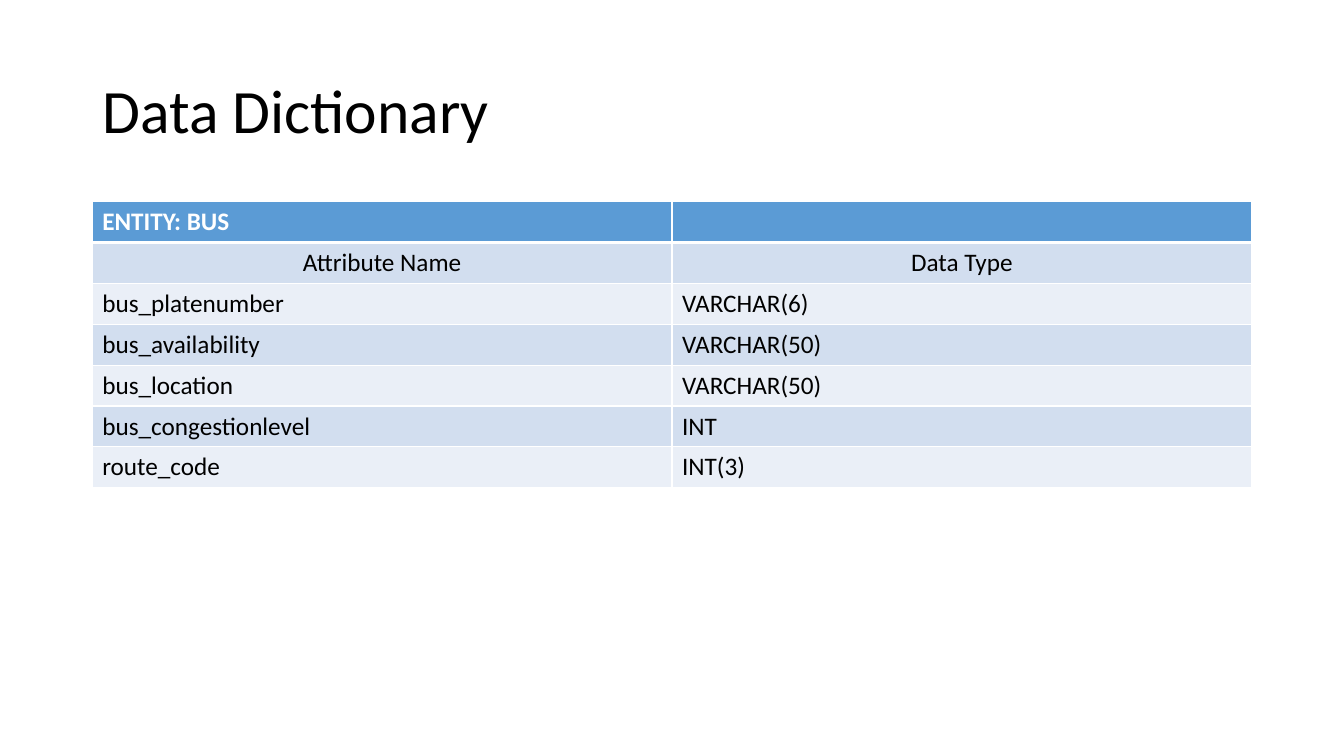
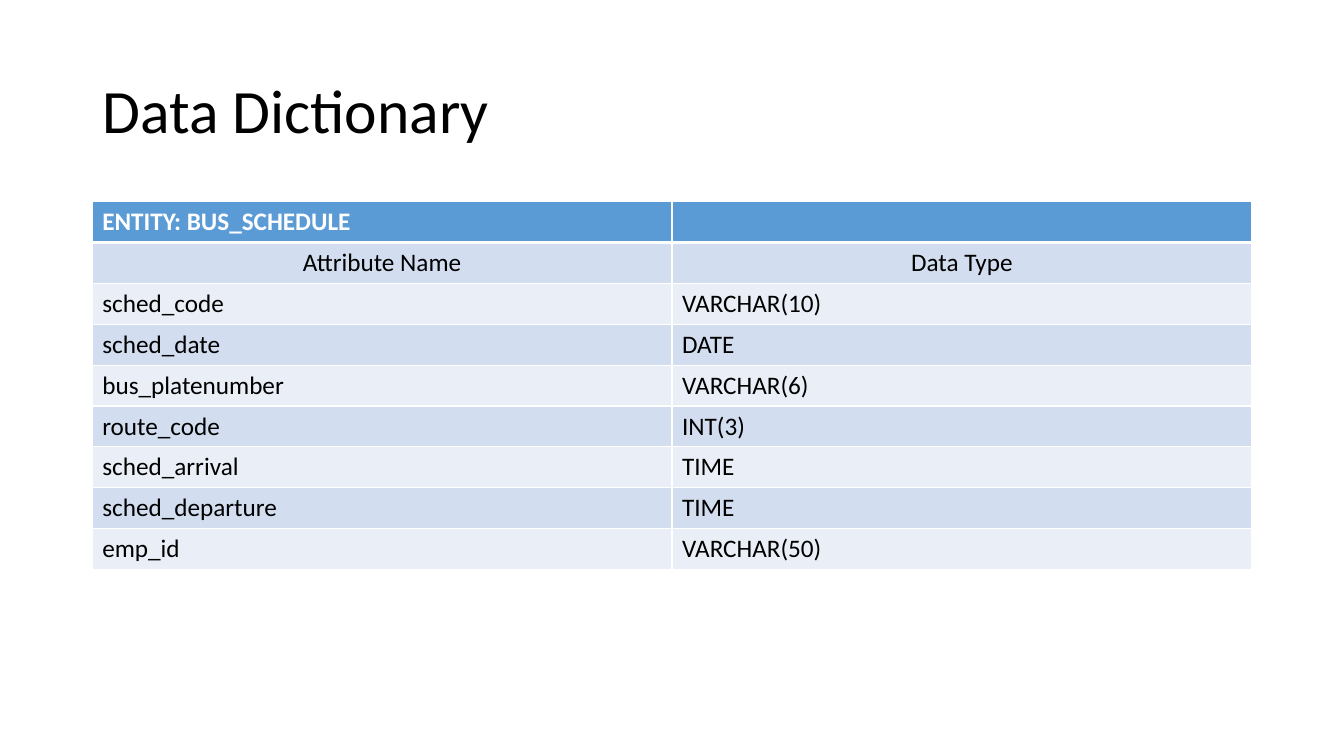
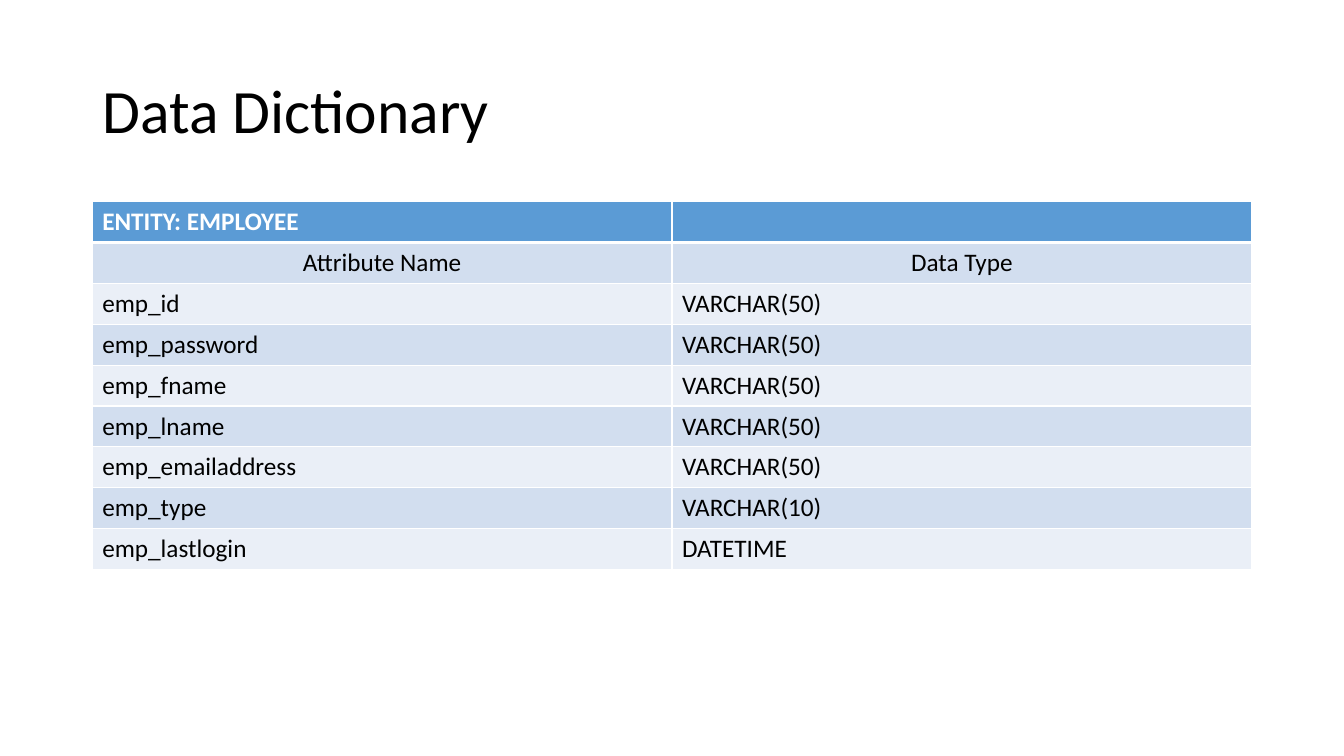
from dataclasses import dataclass

from lxml.etree import SubElement
from pptx import Presentation
from pptx.dml.color import RGBColor as RGB
from pptx.enum.text import MSO_ANCHOR as Anchor, MSO_AUTO_SIZE as AutoSize, PP_ALIGN as Align
from pptx.oxml.ns import qn
from pptx.presentation import Presentation as Deck
from pptx.slide import Slide
from pptx.table import _Cell as Cell
from pptx.util import Inches, Pt


@dataclass(frozen=True)
class Theme:
    font: str = "Calibri"
    title_size: int = 44
    body_size: int = 18
    text: str = "000000"
    light: str = "FFFFFF"
    header: str = "5B9BD5"
    bands: tuple[str, str] = ("D2DEEF", "EAEFF7")
    rule: float = 1
    header_rule: float = 3


@dataclass(frozen=True)
class Entity:
    name: str
    attributes: tuple[tuple[str, str], ...]


THEME = Theme()
SLIDE_W, SLIDE_H = Inches(13.33), Inches(7.5)
CONTENT_W = Inches(11.5)
MARGIN = (SLIDE_W - CONTENT_W) // 2
TITLE_TOP, TITLE_H = Inches(0.4), Inches(1.45)
TABLE_TOP, ROW_H = Inches(2), Pt(29.2)
TITLE = "Data Dictionary"
COLUMNS = ("Attribute Name", "Data Type")

ENTITIES = (
    Entity("BUS", (
        ("bus_platenumber", "VARCHAR(6)"),
        ("bus_availability", "VARCHAR(50)"),
        ("bus_location", "VARCHAR(50)"),
        ("bus_congestionlevel", "INT"),
        ("route_code", "INT(3)"),
    )),
    Entity("BUS_SCHEDULE", (
        ("sched_code", "VARCHAR(10)"),
        ("sched_date", "DATE"),
        ("bus_platenumber", "VARCHAR(6)"),
        ("route_code", "INT(3)"),
        ("sched_arrival", "TIME"),
        ("sched_departure", "TIME"),
        ("emp_id", "VARCHAR(50)"),
    )),
    Entity("EMPLOYEE", (
        ("emp_id", "VARCHAR(50)"),
        ("emp_password", "VARCHAR(50)"),
        ("emp_fname", "VARCHAR(50)"),
        ("emp_lname", "VARCHAR(50)"),
        ("emp_emailaddress", "VARCHAR(50)"),
        ("emp_type", "VARCHAR(10)"),
        ("emp_lastlogin", "DATETIME"),
    )),
)


def add_title(slide: Slide) -> None:
    sp = slide.shapes.title
    sp.left, sp.top, sp.width, sp.height = MARGIN, TITLE_TOP, CONTENT_W, TITLE_H
    tf = sp.text_frame
    tf.text = TITLE
    tf.auto_size = AutoSize.NONE
    tf.vertical_anchor = Anchor.MIDDLE
    p = tf.paragraphs[0]
    p.alignment = Align.LEFT
    p.line_spacing = 0.9
    font = p.runs[0].font
    font.name, font.size = THEME.font, Pt(THEME.title_size)
    font.color.rgb = RGB.from_string(THEME.text)


def set_borders(cell: Cell, top: float, bottom: float) -> None:
    """Rule all four sides; the schema wants these before the cell's fill."""
    tc_pr = cell._tc.get_or_add_tcPr()
    sides = {"lnL": THEME.rule, "lnR": THEME.rule, "lnT": top, "lnB": bottom}
    for side, width in sides.items():
        ln = SubElement(tc_pr, qn(f"a:{side}"), w=str(Pt(width)))
        fill = SubElement(ln, qn("a:solidFill"))
        SubElement(fill, qn("a:srgbClr"), val=THEME.light)


def format_cell(cell: Cell, row: int, text: str) -> None:
    """Row 0 names the entity, row 1 heads the columns, the rest are data."""
    is_header = row == 0
    set_borders(
        cell,
        top=THEME.header_rule if row == 1 else THEME.rule,
        bottom=THEME.header_rule if is_header else THEME.rule,
    )
    cell.fill.solid()
    fill = THEME.header if is_header else THEME.bands[(row - 1) % 2]
    cell.fill.fore_color.rgb = RGB.from_string(fill)
    cell.text_frame.text = text
    p = cell.text_frame.paragraphs[0]
    p.alignment = Align.CENTER if row == 1 else Align.LEFT
    p.font.size = Pt(THEME.body_size)
    for r in p.runs:
        r.font.name, r.font.size = THEME.font, Pt(THEME.body_size)
        r.font.bold = is_header
        r.font.color.rgb = RGB.from_string(THEME.light if is_header else THEME.text)


def add_entity_table(slide: Slide, entity: Entity) -> None:
    rows = ((f"ENTITY: {entity.name}", ""), COLUMNS, *entity.attributes)
    table = slide.shapes.add_table(
        len(rows), len(COLUMNS), MARGIN, TABLE_TOP, CONTENT_W, ROW_H * len(rows)
    ).table
    for i, texts in enumerate(rows):
        for j, text in enumerate(texts):
            format_cell(table.cell(i, j), i, text)


def add_entity_slide(prs: Deck, entity: Entity) -> None:
    title_only = prs.slide_layouts[5]
    slide = prs.slides.add_slide(title_only)
    add_title(slide)
    add_entity_table(slide, entity)


def main() -> None:
    prs = Presentation()
    prs.slide_width, prs.slide_height = SLIDE_W, SLIDE_H
    for entity in ENTITIES:
        add_entity_slide(prs, entity)
    prs.save("out.pptx")


if __name__ == "__main__":
    main()
